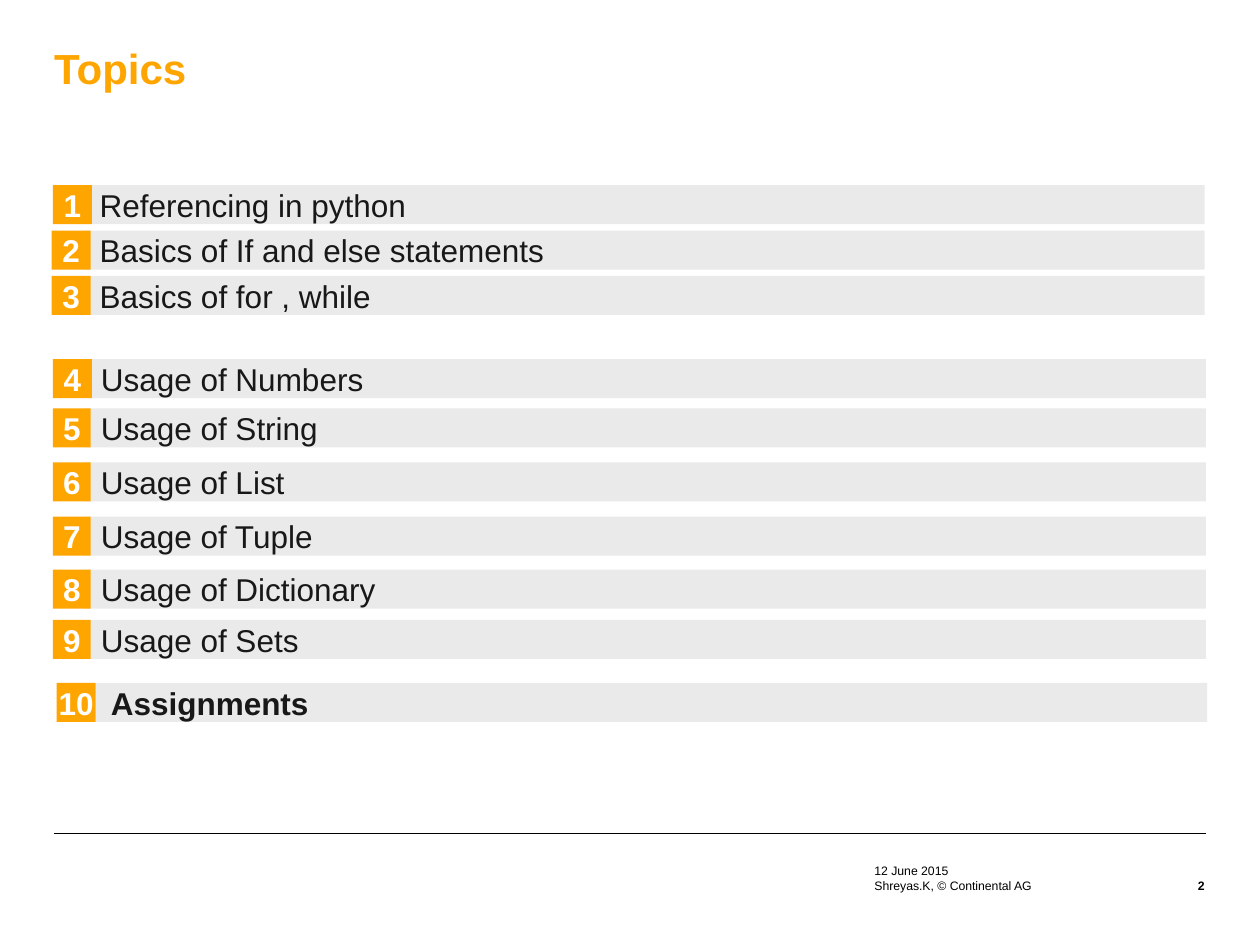
from pptx import Presentation
from pptx.dml.color import RGBColor
from pptx.enum.shapes import MSO_CONNECTOR, MSO_SHAPE
from pptx.enum.text import MSO_ANCHOR as Anchor, PP_ALIGN as Align
from pptx.oxml.ns import qn
from pptx.util import Inches, Pt
from lxml.etree import SubElement

ORANGE = RGBColor(0xFF, 0xA5, 0x00)
GREY = RGBColor(0xEA, 0xEA, 0xEA)
DARK = RGBColor(0x18, 0x18, 0x18)
WHITE = RGBColor(0xFF, 0xFF, 0xFF)
BLACK = RGBColor(0, 0, 0)

# Content: each group shares its bar left and width; rows are
# (topic, top, number left, number width)
GROUPS = [
    {"left": 0.67, "width": 8.89, "bold": False, "rows": [
        ("Referencing in python", 1.47, 0.42, 0.31),
        ("Basics of If and else statements", 1.83, 0.41, 0.31),
        ("Basics of for , while", 2.19, 0.41, 0.31)]},
    {"left": 0.68, "width": 8.89, "bold": False, "rows": [
        ("Usage of Numbers", 2.85, 0.42, 0.31),
        ("Usage of String", 3.24, 0.42, 0.3),
        ("Usage of List", 3.67, 0.42, 0.3),
        ("Usage of Tuple", 4.1, 0.42, 0.3),
        ("Usage of Dictionary", 4.52, 0.42, 0.3),
        ("Usage of Sets", 4.92, 0.42, 0.3)]},
    {"left": 0.76, "width": 8.82, "bold": True, "rows": [
        ("Assignments", 5.42, 0.45, 0.31)]},
]
FOOTER = [
    # text, box, anchor, alignment, bold
    ("12 June 2015", (6.94, 6.81, 2.19, 0.16), Anchor.BOTTOM, Align.LEFT, False),
    ("Shreyas.K, © Continental AG", (6.94, 6.97, 2.19, 0.16), Anchor.TOP, Align.LEFT, False),
    ("2", (9.17, 6.97, 0.39, 0.16), Anchor.TOP, Align.RIGHT, True),
]
ROW_HEIGHT = 0.31
HANGING = 0.26


def inches(values):
    return [Inches(value) for value in values]


def write(shape, text, margins, anchor, align, size, color, bold):
    frame = shape.text_frame
    sides = ("margin_left", "margin_top", "margin_right", "margin_bottom")
    settings = dict(zip(sides, inches(margins)), word_wrap=False, vertical_anchor=anchor)
    for name, value in settings.items():
        setattr(frame, name, value)
    para = frame.paragraphs[0]
    para.alignment = align
    span = para.add_run()
    span.text = text
    for name, value in {"name": "Arial", "size": Pt(size), "bold": bold}.items():
        setattr(span.font, name, value)
    span.font.color.rgb = color
    return para


def add_block(page, box, fill, text, margins, align, color, bold):
    block = page.shapes.add_shape(MSO_SHAPE.RECTANGLE, *inches(box))
    block.shadow.inherit = False
    block.fill.solid()
    block.fill.fore_color.rgb = fill
    block.line.fill.background()
    para = write(block, text, margins, Anchor.MIDDLE, align, 18, color, bold)
    properties = para._p.get_or_add_pPr()
    properties.set("marL", str(Inches(HANGING)))
    properties.set("indent", str(-Inches(HANGING)))


deck = Presentation()
deck.slide_width, deck.slide_height = inches((10, 7.5))
page = deck.slides.add_slide(deck.slide_layouts[5])

# Title, raised one line above the bottom of its box
title = page.shapes.title
title.left, title.top, title.width, title.height = inches((0.43, 0.32, 9.14, 0.79))
heading = write(title, "Topics", (0, 0, 0.1, 0.36), Anchor.BOTTOM, Align.LEFT, 24, ORANGE, True)
heading.line_spacing = 0.95
title.text_frame.word_wrap = True

# Numbered topic bars
number = 0
for group in GROUPS:
    for topic, top, number_left, number_width in group["rows"]:
        number += 1
        add_block(page, (group["left"], top, group["width"], ROW_HEIGHT), GREY, topic,
                  (0.12, 0.04, 0.08, 0.04), Align.LEFT, DARK, group["bold"])
        add_block(page, (number_left, top, number_width, ROW_HEIGHT), ORANGE, str(number),
                  (0.04, 0.04, 0.04, 0.04), Align.CENTER, WHITE, True)

# Footer rule and texts
rule = page.shapes.add_connector(MSO_CONNECTOR.STRAIGHT, *inches((0.43, 6.61, 9.57, 6.61)))
rule.line.color.rgb = BLACK
rule.line.width = Pt(0.35)
SubElement(rule._element.spPr, qn("a:effectLst"))
for text, box, anchor, align, bold in FOOTER:
    note = page.shapes.add_textbox(*inches(box))
    write(note, text, (0, 0, 0, 0), anchor, align, 7, BLACK, bold)
    # A right-aligned text needs the full box width
    note.text_frame.word_wrap = True

deck.save("out.pptx")
